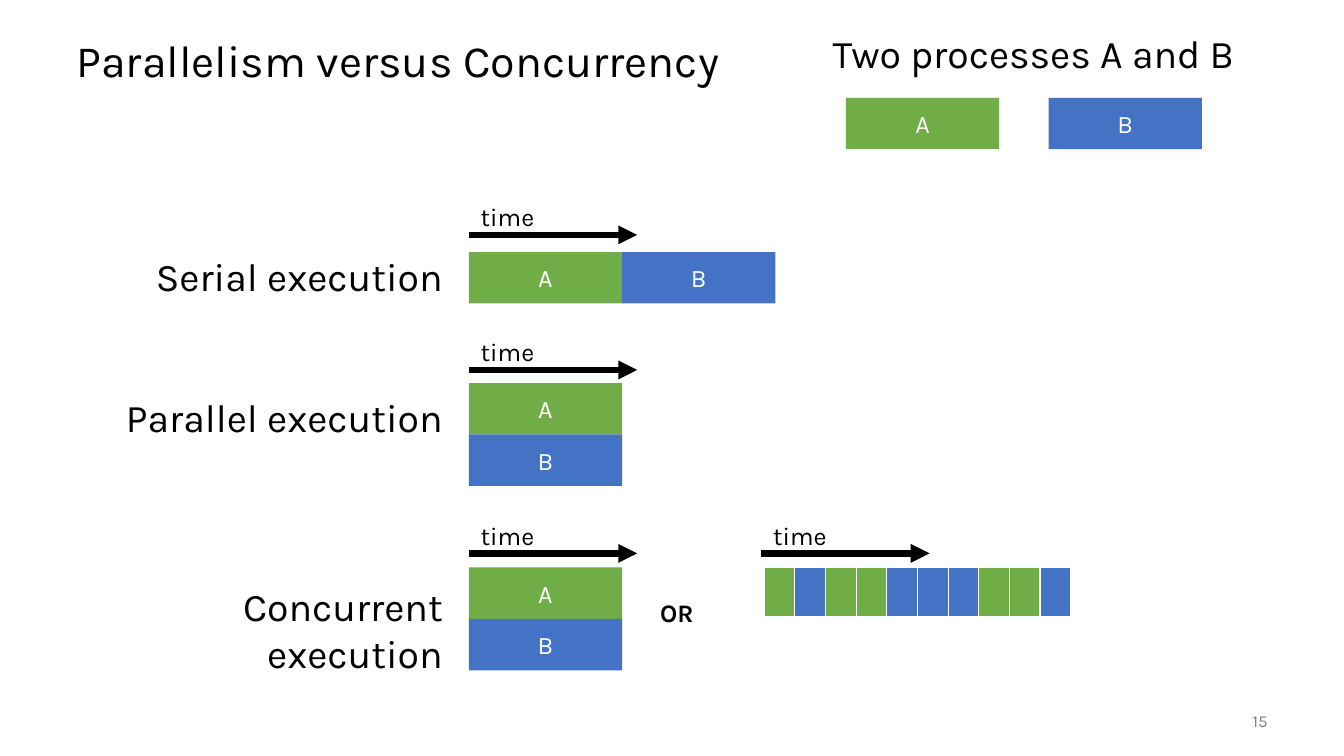
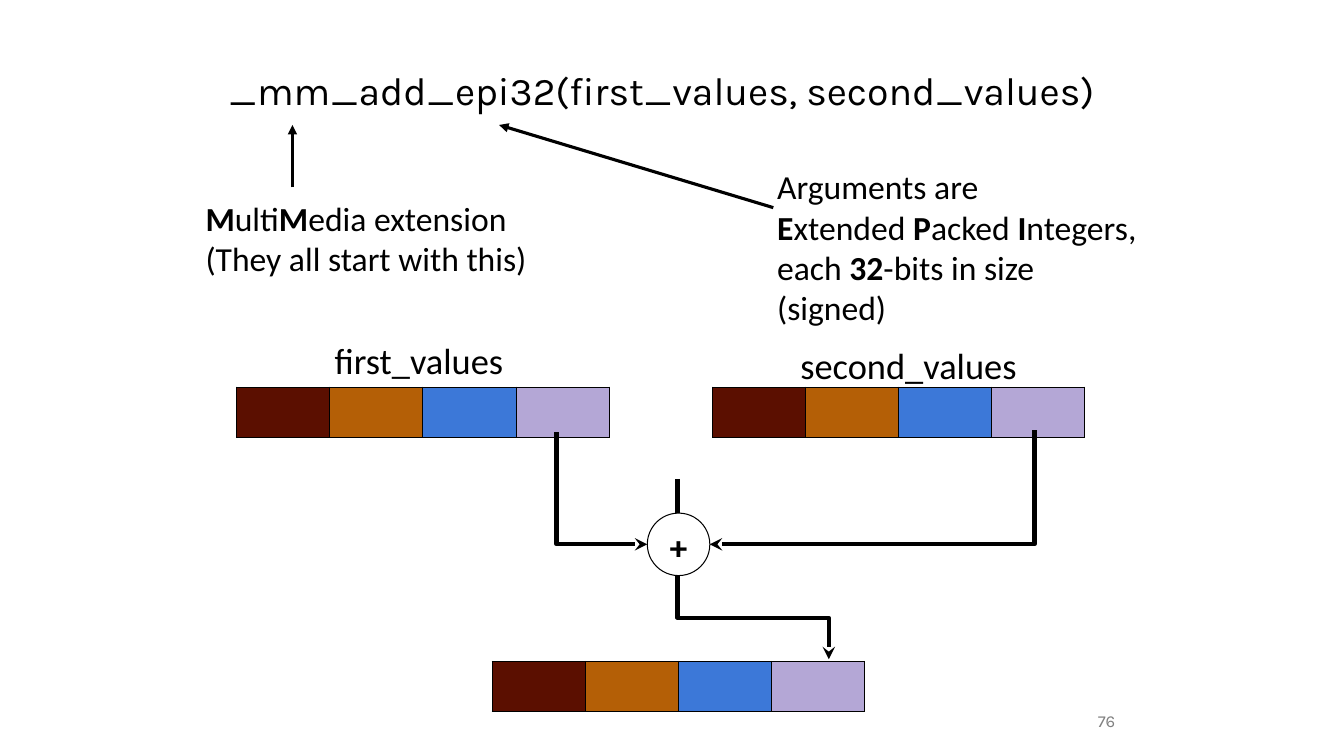
from lxml import etree
from pptx import Presentation
from pptx.dml.color import RGBColor
from pptx.enum.shapes import MSO_CONNECTOR as LINE, MSO_SHAPE as SHAPE
from pptx.enum.text import MSO_ANCHOR as ANCHOR, PP_ALIGN as ALIGN
from pptx.oxml.ns import qn
from pptx.util import Inches, Pt

COLORS = {
    "black": "000000", "white": "FFFFFF", "gray": "808080",
    "A": "70AD47", "B": "4472C4",
    "maroon": "5B0F00", "orange": "B45F06", "sky": "3C78D8", "lilac": "B4A7D6",
}
HEADING_FONT = "Karla"
NOTE_FONT = "Calibri"
BLOCK_WIDTH, BLOCK_HEIGHT = 1.52, 0.51
TIMELINE_LEFT = 4.65
LANES = ["maroon", "orange", "sky", "lilac"]


def rgb(name):
    return RGBColor.from_string(COLORS[name])


def write(frame, lines, size, font=HEADING_FONT, color="black", align=ALIGN.LEFT,
          anchor=ANCHOR.TOP, spacing=None, inset=0.05):
    """Fill a text frame; text between asterisks is bold."""
    frame.word_wrap = True
    frame.vertical_anchor = anchor
    frame.margin_left = frame.margin_right = Inches(0.1)
    frame.margin_top = frame.margin_bottom = Inches(inset)
    for index, line in enumerate(lines):
        para = frame.add_paragraph() if index else frame.paragraphs[0]
        para.alignment = align
        para.line_spacing = spacing
        para.font.size = Pt(size)
        para.font.name = font
        para.font.color.rgb = rgb(color)
        for position, part in enumerate(line.split("*")):
            if part:
                span = para.add_run()
                span.text = part
                if position % 2:
                    span.font.bold = True


def add_text(slide, lines, left, top, width, height, size, **style):
    box = slide.shapes.add_textbox(*map(Inches, (left, top, width, height)))
    write(box.text_frame, lines, size, **style)


def add_title(slide, text, left, top, width, height, size):
    add_text(slide, [text], left, top, width, height, size,
             anchor=ANCHOR.MIDDLE, spacing=0.9)


def add_slide_number(slide, number, right):
    add_text(slide, [str(number)], right - 1, 6.95, 1, 0.4, 12, color="gray",
             align=ALIGN.RIGHT, anchor=ANCHOR.MIDDLE)


def add_filled(slide, kind, left, top, width, height, fill):
    shape = slide.shapes.add_shape(kind, *map(Inches, (left, top, width, height)))
    shape.shadow.inherit = False
    shape.fill.solid()
    shape.fill.fore_color.rgb = rgb(fill)
    shape.line.fill.background()
    return shape


def add_process(slide, name, left, top):
    block = add_filled(slide, SHAPE.RECTANGLE, left, top, BLOCK_WIDTH, BLOCK_HEIGHT, name)
    write(block.text_frame, [name], 18, color="white", align=ALIGN.CENTER,
          anchor=ANCHOR.MIDDLE)


def add_stack(slide, top):
    for row, name in enumerate("AB"):
        add_process(slide, name, TIMELINE_LEFT, top + row * BLOCK_HEIGHT)


def add_arrow(slide, start, end, weight, head="triangle", kind=LINE.STRAIGHT):
    arrow = slide.shapes.add_connector(kind, *map(Inches, (*start, *end)))
    arrow.line.color.rgb = rgb("black")
    arrow.line.width = Pt(weight)
    etree.SubElement(arrow.line._get_or_add_ln(), qn("a:tailEnd"), type=head)
    etree.SubElement(arrow._element.spPr, qn("a:effectLst"))
    return arrow


def add_downward_elbow(slide, start, end, bend=None):
    across, down = end[0] - start[0], end[1] - start[1]
    middle = (start[0] + end[0]) / 2, (start[1] + end[1]) / 2
    reach = down / 2, abs(across) / 2
    arrow = add_arrow(slide, (middle[0] - reach[0], middle[1] - reach[1]),
                      (middle[0] + reach[0], middle[1] + reach[1]), 3, "stealth", LINE.ELBOW)
    properties = arrow._element.spPr
    frame = properties.find(qn("a:xfrm"))
    frame.set("rot", str((270 if across > 0 else 90) * 60000))
    if across > 0:
        frame.set("flipH", "1")
    geometry = properties.find(qn("a:prstGeom"))
    if bend is None:
        geometry.set("prst", "bentConnector2")
    else:
        etree.SubElement(geometry.find(qn("a:avLst")), qn("a:gd"),
                         name="adj1", fmla=f"val {round(bend * 100000)}")


def add_time_arrow(slide, left, top):
    add_arrow(slide, (left, top), (left + 1.67, top), 4.5)
    add_text(slide, ["time"], left + 0.02, top - 0.38, 1, 0.4, 18)


def set_borders(cell, color, weight, bottom_weight):
    properties = cell._tc.get_or_add_tcPr()
    for index, side in enumerate("LRTB"):
        width = bottom_weight if side == "B" else weight
        border = etree.Element(qn(f"a:ln{side}"), w=str(Pt(width)))
        fill = etree.SubElement(border, qn("a:solidFill"))
        etree.SubElement(fill, qn("a:srgbClr"), val=COLORS[color])
        properties.insert(index, border)


def add_strip(slide, fills, left, top, width, border, weight, bottom_weight):
    table = slide.shapes.add_table(
        1, len(fills), *map(Inches, (left, top, width, 0.5))).table
    table.first_row = table.horz_banding = False
    for column, fill in enumerate(fills):
        table.columns[column].width = Inches(width / len(fills))
        cell = table.cell(0, column)
        cell.fill.solid()
        cell.fill.fore_color.rgb = rgb(fill)
        set_borders(cell, border, weight, bottom_weight)


def build_concurrency(slide):
    add_title(slide, "Parallelism versus Concurrency", 0.66, 0.25, 12, 0.75, 32)
    add_text(slide, ["Two processes A and B"], 8.16, 0.29, 4.68, 0.6, 28, spacing=0.9)
    add_slide_number(slide, 15, 12.67)
    add_process(slide, "A", 8.39, 0.97)
    add_process(slide, "B", 10.4, 0.97)

    for label, center in (("Serial execution", 2.74), ("Parallel execution", 4.14),
                          ("Concurrent execution", 6.24)):
        add_text(slide, [label], 0.99, center - 0.55, 3.5, 1.1, 28,
                 align=ALIGN.RIGHT, anchor=ANCHOR.MIDDLE)

    for column, name in enumerate("AB"):
        add_process(slide, name, TIMELINE_LEFT + column * BLOCK_WIDTH, 2.5)
    add_stack(slide, 3.8)
    add_stack(slide, 5.63)
    add_text(slide, ["*OR*"], 6.45, 5.88, 0.96, 0.4, 18)
    for left, top in ((TIMELINE_LEFT, 2.33), (TIMELINE_LEFT, 3.67),
                      (TIMELINE_LEFT, 5.49), (7.55, 5.49)):
        add_time_arrow(slide, left, top)
    add_strip(slide, "ABAABBBAAB", 7.58, 5.63, 3.04, "white", 1, 3)


def build_intrinsic(slide):
    add_downward_elbow(slide, (6.72, 4.75), (8.22, 6.54), 0.77)
    add_title(slide, "_mm_add_epi32(first_values, second_values)", 2.17, 0.3, 9, 1.25, 28)
    add_slide_number(slide, 76, 11.16)

    add_text(slide, ["*M*ulti*M*edia extension", "(They all start with this)"],
             1.94, 1.86, 3.6, 1.79, 24, font=NOTE_FONT, inset=0.1)
    add_text(slide, ["Arguments are", "*E*xtended *P*acked *I*ntegers,",
                     "each *32*-bits in size", "(signed)"],
             7.61, 1.55, 3.9, 1.79, 24, font=NOTE_FONT, inset=0.1)
    add_arrow(slide, (2.9, 1.86), (2.9, 1.24), 2.25)
    add_arrow(slide, (7.67, 2.06), (4.95, 1.24), 2.25)

    for left, top in ((2.35, 3.84), (7.07, 3.84), (4.88, 6.56)):
        add_strip(slide, LANES, left, top, 3.69, "black", 0.75, 0.75)
    for label, left, top in (("first_values", 3.22, 3.25), ("second_values", 7.84, 3.3)):
        add_text(slide, [label], left, top, 2.53, 0.4, 26, font=NOTE_FONT, inset=0.1)

    plus = add_filled(slide, SHAPE.OVAL, 6.42, 5.09, 0.62, 0.62, "white")
    plus.line.color.rgb = rgb("black")
    plus.line.width = Pt(0.75)
    write(plus.text_frame, ["*+*"], 23, align=ALIGN.CENTER, anchor=ANCHOR.MIDDLE, inset=0.1)
    add_downward_elbow(slide, (5.52, 4.29), (6.42, 5.4))
    add_downward_elbow(slide, (10.26, 4.27), (7.04, 5.4))


def main():
    deck = Presentation()
    deck.slide_width, deck.slide_height = Inches(13.33), Inches(7.5)
    for build in (build_concurrency, build_intrinsic):
        build(deck.slides.add_slide(deck.slide_layouts[6]))
    deck.save("out.pptx")


if __name__ == "__main__":
    main()
